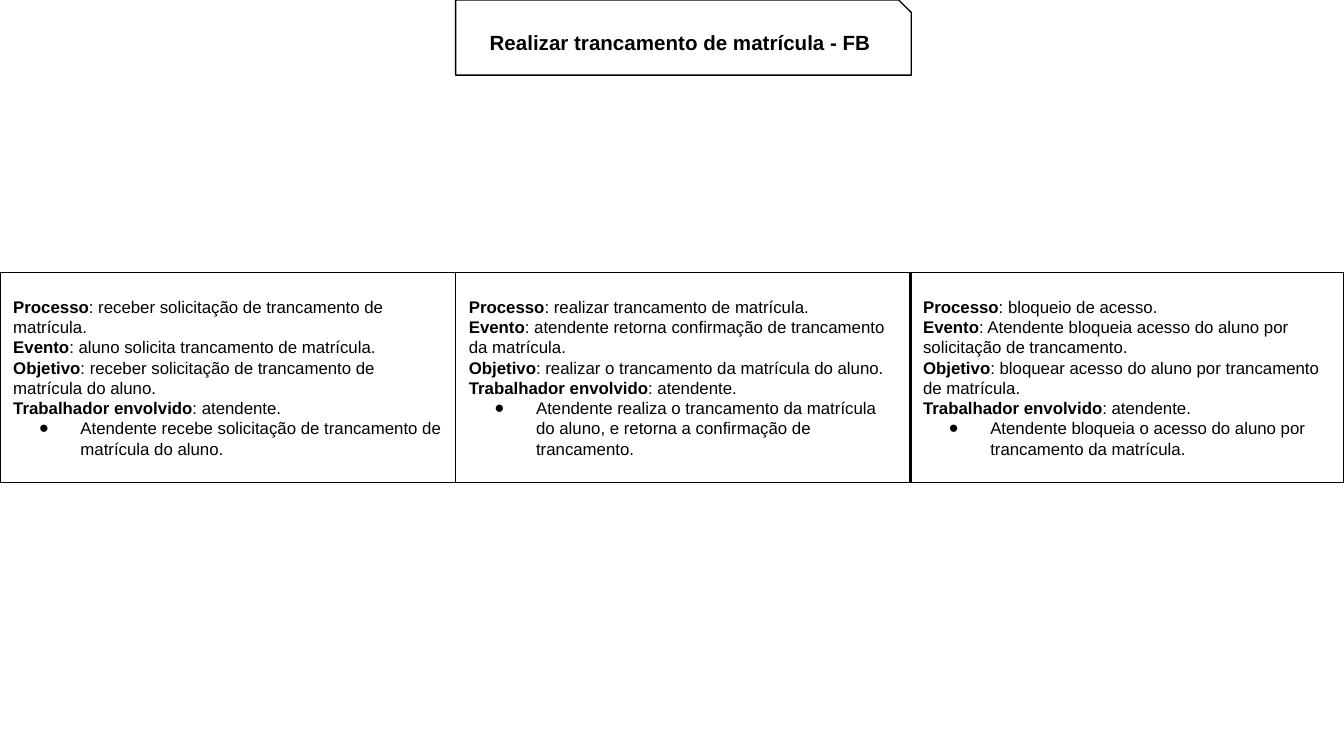
from lxml.etree import SubElement
from pptx import Presentation
from pptx.dml.color import RGBColor
from pptx.enum.shapes import MSO_SHAPE
from pptx.enum.text import MSO_ANCHOR, MSO_AUTO_SIZE, PP_ALIGN
from pptx.oxml.ns import qn
from pptx.util import Inches, Pt

BLACK = RGBColor(0, 0, 0)
WHITE = RGBColor(255, 255, 255)
SLIDE_WIDTH = 10
SLIDE_HEIGHT = SLIDE_WIDTH * 9 / 16
COLUMN_WIDTH = 3.39
COLUMN_LEFTS = (0, 3.39, 6.77)
TITLE_HEIGHT = 0.56
SNIP = 0.167
TITLE = "Realizar trancamento de matrícula - FB"
LABELS = ("Processo", "Evento", "Objetivo", "Trabalhador envolvido")
PROCESSES = [
    (("receber solicitação de trancamento de matrícula.",
      "aluno solicita trancamento de matrícula.",
      "receber solicitação de trancamento de matrícula do aluno.",
      "atendente."),
     "Atendente recebe solicitação de trancamento de matrícula do aluno."),
    (("realizar trancamento de matrícula.",
      "atendente retorna confirmação de trancamento da matrícula.",
      "realizar o trancamento da matrícula do aluno.",
      "atendente."),
     "Atendente realiza o trancamento da matrícula do aluno, e retorna a "
     "confirmação de trancamento."),
    (("bloqueio de acesso.",
      "Atendente bloqueia acesso do aluno por solicitação de trancamento.",
      "bloquear acesso do aluno por trancamento de matrícula.",
      "atendente."),
     "Atendente bloqueia o acesso do aluno por trancamento da matrícula."),
]


def apply_format(target, values):
    """Set every attribute named in a dict of format values."""
    for name, value in values.items():
        setattr(target, name, value)


def add_box(slide, preset, left, top, width, height):
    """Add an unfilled preset shape with a thin black outline."""
    box = slide.shapes.add_shape(preset, *map(Inches, (left, top, width, height)))
    box.shadow.inherit = False
    box.fill.background()
    box.line.color.rgb = BLACK
    box.line.width = Pt(0.75)
    return box


def format_frame(frame):
    """Give a text frame even insets and centre it vertically."""
    margins = ("margin_left", "margin_top", "margin_right", "margin_bottom")
    apply_format(frame, {
        "word_wrap": True,
        "auto_size": MSO_AUTO_SIZE.NONE,
        "vertical_anchor": MSO_ANCHOR.MIDDLE,
        **dict.fromkeys(margins, Inches(0.1)),
    })


def add_run(paragraph, text, size, bold=False):
    """Append a black Arial run to a paragraph."""
    run = paragraph.add_run()
    run.text = text
    apply_format(run.font, {"name": "Arial", "size": Pt(size), "bold": bold})
    run.font.color.rgb = BLACK


def add_bullet(paragraph):
    """Turn a paragraph into a black bulleted item with a hanging indent."""
    properties = paragraph._p.get_or_add_pPr()
    properties.set("marL", str(Inches(0.5)))
    properties.set("indent", str(Inches(-0.31)))
    color = SubElement(properties, qn("a:buClr"))
    SubElement(color, qn("a:srgbClr"), val=str(BLACK))
    SubElement(properties, qn("a:buFont"), typeface="Arial")
    SubElement(properties, qn("a:buChar"), char="●")


def add_title(slide):
    """Set the title inside a white box with a snipped corner."""
    left = COLUMN_LEFTS[1]
    box = add_box(slide, MSO_SHAPE.SNIP_1_RECTANGLE, left, 0, COLUMN_WIDTH, TITLE_HEIGHT)
    box.adjustments[0] = SNIP
    box.fill.solid()
    box.fill.fore_color.rgb = WHITE
    title = slide.shapes.title
    slide.shapes._spTree.append(title._element)
    inset = SNIP * TITLE_HEIGHT / 2
    apply_format(title, {
        "left": Inches(left),
        "top": Inches(inset),
        "width": Inches(COLUMN_WIDTH - inset),
        "height": Inches(TITLE_HEIGHT - inset),
    })
    format_frame(title.text_frame)
    paragraph = title.text_frame.paragraphs[0]
    apply_format(paragraph, {"alignment": PP_ALIGN.CENTER, "line_spacing": 1.15})
    add_run(paragraph, TITLE, 11, bold=True)


def add_process(slide, left, details, activity):
    """Add a box with the labelled details and the activity of a process."""
    width = min(COLUMN_WIDTH, SLIDE_WIDTH - left)
    box = add_box(slide, MSO_SHAPE.RECTANGLE, left, 2.03, width, 1.56)
    frame = box.text_frame
    format_frame(frame)
    paragraph = frame.paragraphs[0]
    for label, detail in zip(LABELS, details):
        paragraph.alignment = PP_ALIGN.LEFT
        add_run(paragraph, label, 9, bold=True)
        add_run(paragraph, f": {detail}", 9)
        paragraph = frame.add_paragraph()
    paragraph.alignment = PP_ALIGN.LEFT
    add_bullet(paragraph)
    add_run(paragraph, activity, 9)


def main():
    """Build the process slide and save it."""
    presentation = Presentation()
    apply_format(presentation, {"slide_width": Inches(SLIDE_WIDTH),
                                "slide_height": Inches(SLIDE_HEIGHT)})
    slide = presentation.slides.add_slide(presentation.slide_layouts[5])
    add_title(slide)
    for left, (details, activity) in zip(COLUMN_LEFTS, PROCESSES):
        add_process(slide, left, details, activity)
    presentation.save("out.pptx")


main()
